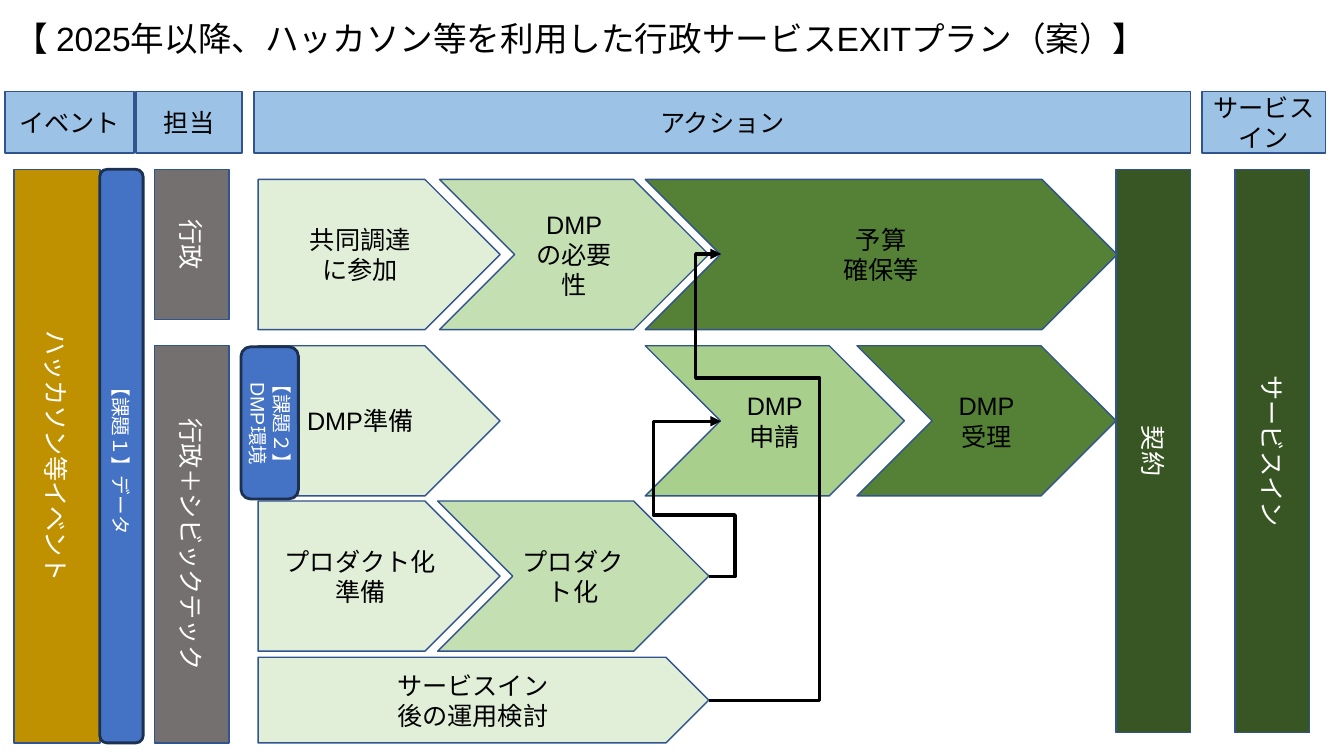
"""Builds the slide on the exit plan for public services from hackathons."""
from lxml import etree
from pptx import Presentation
from pptx.dml.color import RGBColor
from pptx.enum.shapes import MSO_CONNECTOR, MSO_SHAPE
from pptx.enum.text import MSO_ANCHOR, PP_ALIGN
from pptx.oxml.ns import qn
from pptx.util import Inches, Pt

RECT = MSO_SHAPE.RECTANGLE
ROUND = MSO_SHAPE.ROUNDED_RECTANGLE
PENTAGON = MSO_SHAPE.PENTAGON
CHEVRON = MSO_SHAPE.CHEVRON
ELBOW = MSO_CONNECTOR.ELBOW
CENTER = PP_ALIGN.CENTER
MIDDLE = MSO_ANCHOR.MIDDLE

FONT = "Arial"
COLORS = {
    "black": "000000", "white": "FFFFFF", "outline": "31538F",
    "header": "9CC2E5", "event": "BF9000", "owner": "757070",
    "issue": "4472C4", "issue_outline": "1C3052",
    "prepare": "E1EFD8", "develop": "C4E0B2", "apply": "A8D08C",
    "secure": "548135", "finish": "385623",
}

TITLE = "【 2025年以降、ハッカソン等を利用した行政サービスEXITプラン（案）】"
HEADER_TOP, HEADER_HEIGHT = 0.91, 0.61
HEADERS = [
    ("イベント", 0.05, 1.28),
    ("担当", 1.35, 1.05),
    ("アクション", 2.52, 9.29),
    ("サービスイン", 11.92, 1.23),
]
BAR_TOP, BAR_WIDTH = 1.68, 0.74
BARS = [
    ("ハッカソン等イベント", "event", 0.14, BAR_TOP, 0.85, 5.69),
    ("行政", "owner", 1.53, BAR_TOP, BAR_WIDTH, 1.49),
    ("行政＋シビックテック", "owner", 1.53, 3.43, BAR_WIDTH, 3.94),
    ("契約", "finish", 11.07, BAR_TOP, BAR_WIDTH, 5.59),
    ("サービスイン", "finish", 12.25, BAR_TOP, BAR_WIDTH, 5.59),
]
STEP_LEFT = 2.56
LANES = [
    (1.78, 1.49, [
        (["共同調達", "に参加"], PENTAGON, "prepare", STEP_LEFT, 2.4),
        (["DMP", "の必要性"], CHEVRON, "develop", 4.36, 2.67),
        (["予算", "確保等"], CHEVRON, "secure", 6.4, 4.68),
    ]),
    (3.43, 1.49, [
        (["DMP準備"], PENTAGON, "prepare", STEP_LEFT, 2.4),
        (["DMP", "申請"], CHEVRON, "apply", 6.4, 2.57),
        (["DMP", "受理"], CHEVRON, "secure", 8.5, 2.57),
    ]),
    (4.97, 1.49, [
        (["プロダクト化", "準備"], PENTAGON, "prepare", STEP_LEFT, 2.4),
        (["プロダクト化"], CHEVRON, "develop", 4.34, 2.69),
    ]),
    (6.52, 0.85, [
        (["サービスイン", "後の運用検討"], PENTAGON, "prepare", STEP_LEFT, 4.47),
    ]),
]
FLOW_START, FLOW_END = 7.03, 7.15
FLOWS = [
    {"from_y": 5.72, "to_y": 4.18, "right": 7.29, "middle": 5.11, "left": 6.48},
    {"from_y": 6.95, "to_y": 2.52, "right": 8.13, "middle": 3.75, "left": 6.9},
]
ISSUES = [
    ("【課題１】データ", (0.99, 1.68, 0.43, 5.69), (1.01, 1.7, 0.39, 5.65)),
    ("【課題２】DMP環境", (2.39, 3.44, 0.57, 1.51), (2.42, 3.48, 0.52, 1.45)),
]


def rgb(color):
    return RGBColor.from_string(COLORS[color])


def write(box, lines, color, size, align=CENTER, anchor=MIDDLE):
    frame = box.text_frame
    frame.word_wrap = True
    frame.vertical_anchor = anchor
    for index, line in enumerate(lines):
        paragraph = frame.add_paragraph() if index else frame.paragraphs[0]
        paragraph.alignment = align
        run = paragraph.add_run()
        run.text = line
        run.font.name = FONT
        run.font.size = Pt(size)
        run.font.color.rgb = rgb(color)


def turned(left, top, width, height):
    """Frame that covers the given area after a quarter turn."""
    shift = (width - height) / 2
    return left + shift, top - shift, height, width


def block(slide, kind, fill, area, outline="outline", weight=1):
    shape = slide.shapes.add_shape(kind, *map(Inches, area))
    shape.shadow.inherit = False
    shape.fill.solid()
    shape.fill.fore_color.rgb = rgb(fill)
    shape.line.color.rgb = rgb(outline)
    shape.line.width = Pt(weight)
    return shape


def add_flow(slide, flow):
    start, end = flow["from_y"], flow["to_y"]
    connector = slide.shapes.add_connector(
        ELBOW, *map(Inches, (FLOW_START, start, FLOW_END, end)))
    connector.line.color.rgb = rgb("black")
    connector.line.width = Pt(2.5)
    properties = connector._element.spPr
    geometry = properties.find(qn("a:prstGeom"))
    geometry.set("prst", "bentConnector5")
    guides = geometry.find(qn("a:avLst"))
    if guides is None:
        guides = etree.SubElement(geometry, qn("a:avLst"))
    run = FLOW_END - FLOW_START
    bends = [(flow["right"] - FLOW_START) / run,
             (flow["middle"] - start) / (end - start),
             (flow["left"] - FLOW_START) / run]
    for number, bend in enumerate(bends, 1):
        etree.SubElement(guides, qn("a:gd"), name=f"adj{number}",
                         fmla=f"val {round(bend * 100000)}")
    etree.SubElement(properties.find(qn("a:ln")), qn("a:tailEnd"), type="triangle")
    etree.SubElement(properties, qn("a:effectLst"))


def main():
    deck = Presentation()
    deck.slide_width, deck.slide_height = Inches(13.33), Inches(7.5)
    slide = deck.slides.add_slide(deck.slide_layouts[6])

    title = slide.shapes.add_textbox(*map(Inches, (0.05, 0.17, 12.8, 1.81)))
    write(title, [TITLE], "black", 24, PP_ALIGN.LEFT, MSO_ANCHOR.TOP)
    title.text_frame.paragraphs[0].line_spacing = 0.9

    for label, left, width in HEADERS:
        header = block(slide, RECT, "header", (left, HEADER_TOP, width, HEADER_HEIGHT))
        write(header, [label], "black", 18)

    for label, fill, *area in BARS:
        bar = block(slide, RECT, fill, turned(*area))
        bar.rotation = 90
        write(bar, [label], "white", 18)

    for top, height, steps in LANES:
        for lines, kind, fill, left, width in steps:
            step = block(slide, kind, fill, (left, top, width, height))
            write(step, lines, "black", 18)

    for flow in FLOWS:
        add_flow(slide, flow)

    for label, panel, text_area in ISSUES:
        block(slide, ROUND, "issue", panel, "issue_outline", 2)
        caption = slide.shapes.add_textbox(*map(Inches, turned(*text_area)))
        caption.rotation = 90
        write(caption, [label], "white", 14)

    deck.save("out.pptx")


if __name__ == "__main__":
    main()
